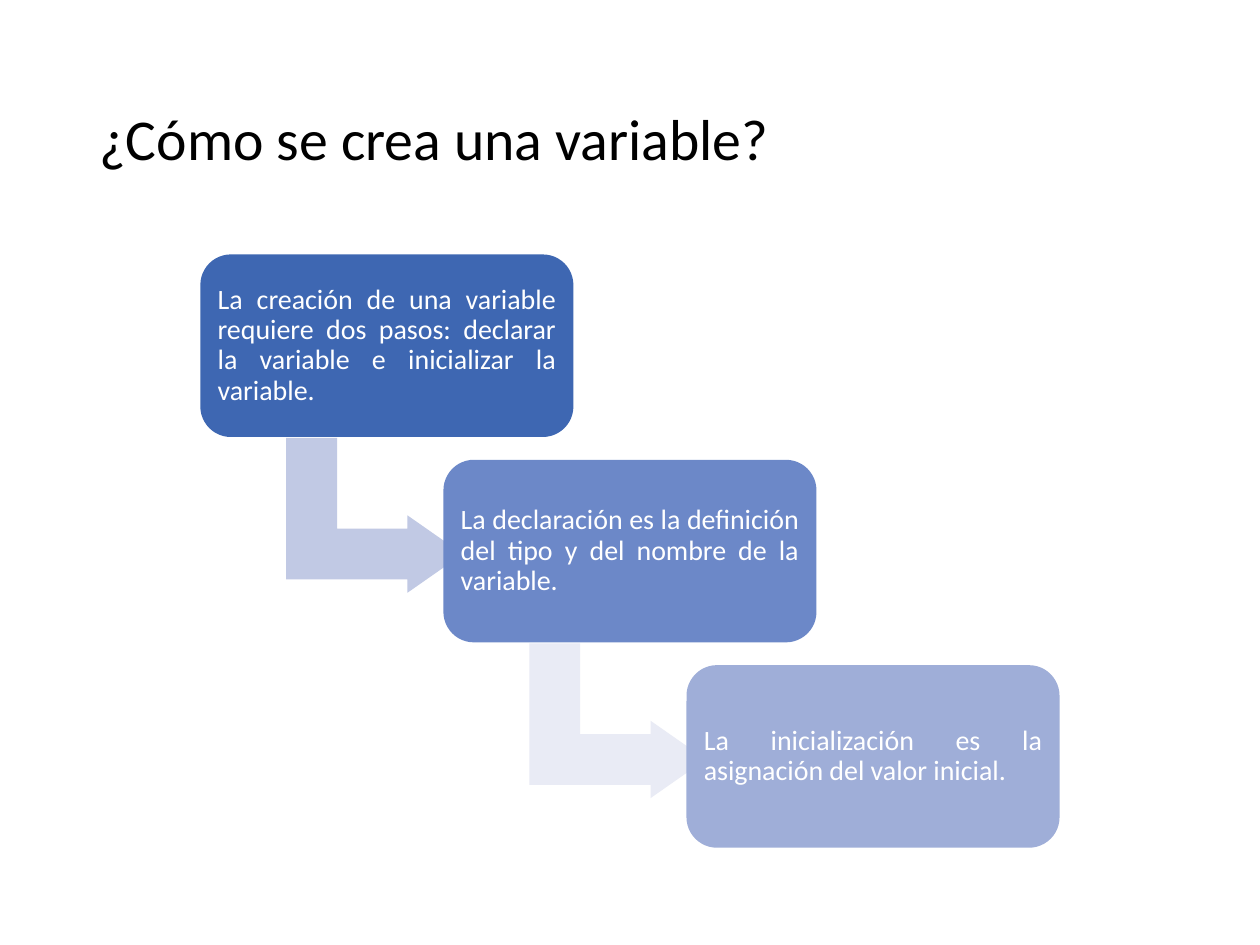
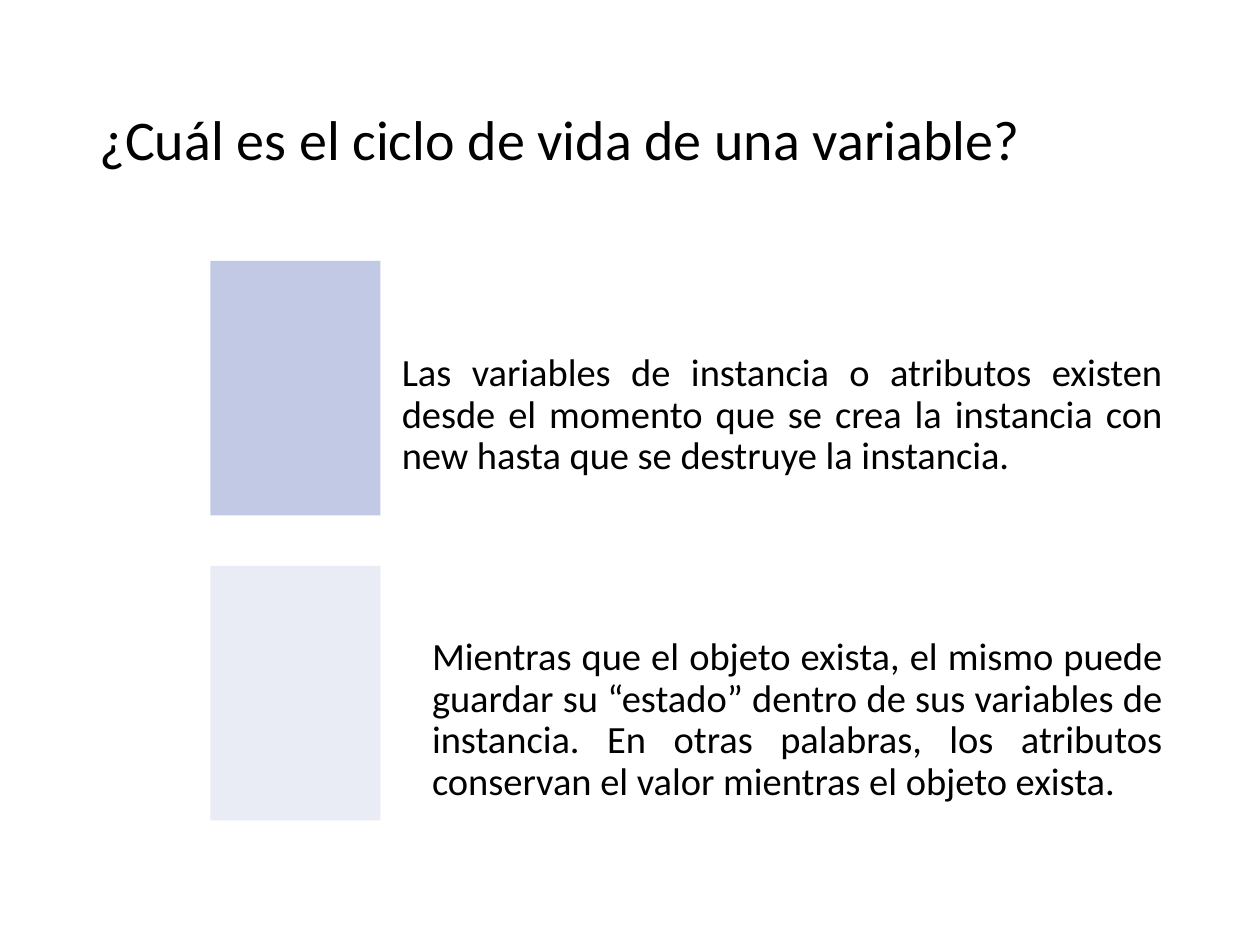
from pptx import Presentation
from pptx.dml.color import RGBColor
from pptx.enum import shapes, text
from pptx.util import Cm, Pt

HUES = {
    "ink": "000000", "paper": "FFFFFF",
    "deep": "3E67B2", "mid": "6C88C8", "soft": "9FAED8",
    "pale": "C1C9E4", "faint": "E9EBF5",
}
FONT = "Calibri"
KIND = shapes.MSO_SHAPE
SIDES = ("left", "top", "right", "bottom")

STEPS = [
    ("deep", "La creación de una variable requiere dos pasos: declarar la variable "
             "e inicializar la variable."),
    ("mid", "La declaración es la definición del tipo y del nombre de la variable."),
    ("soft", "La inicialización es la asignación del valor inicial."),
]
ARROWS = ["pale", "faint"]

# swatch colour, left edge of the panel, wording
STAGES = [
    ("pale", 4.8, "Las variables de instancia o atributos existen desde el momento que se "
                  "crea la instancia con new hasta que se destruye la instancia."),
    ("faint", 5.41, "Mientras que el objeto exista, el mismo puede guardar su “estado” "
                    "dentro de sus variables de instancia. En otras palabras, los "
                    "atributos conservan el valor mientras el objeto exista."),
]


def color(name):
    return RGBColor.from_string(HUES[name])


def apply(item, values):
    for key, value in values.items():
        setattr(item, key, value)


def write(shape, words, size, hue, align, pads):
    """Fill a shape with one middle-anchored paragraph; pads follow SIDES, in cm."""
    frame = shape.text_frame
    frame.text = words
    apply(frame, {"word_wrap": True, "auto_size": text.MSO_AUTO_SIZE.NONE,
                  "vertical_anchor": text.MSO_ANCHOR.MIDDLE})
    apply(frame, {f"margin_{side}": Cm(pad) for side, pad in zip(SIDES, pads)})
    line = frame.paragraphs[0]
    apply(line, {"alignment": align, "line_spacing": 0.9})
    apply(line.font, {"name": FONT, "size": Pt(size)})
    line.font.color.rgb = color(hue)


def block(slide, kind, hue, left, top, width, height):
    shape = slide.shapes.add_shape(kind, Cm(left), Cm(top), Cm(width), Cm(height))
    shape.shadow.inherit = False
    shape.fill.solid()
    shape.fill.fore_color.rgb = color(hue)
    shape.line.fill.background()
    return shape


def arrow(slide, hue, left, top):
    shape = block(slide, KIND.BENT_UP_ARROW, hue, left, top, 3.12, 3.56)
    shape.rotation = 90
    for spot, value in enumerate((0.328, 0.25, 0.358)):
        shape.adjustments[spot] = value


def page(deck, words, size):
    """Add a slide with its title."""
    slide = deck.slides.add_slide(deck.slide_layouts[5])
    title = slide.shapes.title
    apply(title, {"left": Cm(1.75), "top": Cm(1.02),
                  "width": Cm(21.9), "height": Cm(3.68)})
    write(title, words, size, "ink", text.PP_ALIGN.LEFT, (0.25, 0.13, 0.25, 0.13))
    return slide


def stairs(slide):
    across, down = 4.9, 4.14
    for spot, (hue, words) in enumerate(STEPS):
        if spot < len(ARROWS):
            arrow(slide, ARROWS[spot], 5.99 + spot * across, 8.61 + spot * down)
        box = block(slide, KIND.ROUNDED_RECTANGLE, hue,
                    4.04 + spot * across, 5.13 + spot * down, 7.52, 3.68)
        box.adjustments[0] = 0.167
        write(box, words, 16, "paper", text.PP_ALIGN.JUSTIFY, (0.17,) * 4)


def stages(slide):
    right, down = 23.67, 6.15
    for spot, (hue, left, words) in enumerate(STAGES):
        drop = spot * down
        panel = block(slide, KIND.RECTANGLE, "paper", left, 5.94 + drop, right - left, 4.88)
        write(panel, words, 22, "ink", text.PP_ALIGN.JUSTIFY, (3.3, 0.23, 0.23, 0.23))
        block(slide, KIND.RECTANGLE, hue, 4.24, 5.26 + drop, 3.43, 5.13)


def main():
    deck = Presentation()
    apply(deck, {"slide_width": Cm(25.4), "slide_height": Cm(19.05)})
    stairs(page(deck, "¿Cómo se crea una variable?", 33))
    stages(page(deck, "¿Cuál es el ciclo de vida de una variable?", 32))
    deck.save("out.pptx")


if __name__ == "__main__":
    main()
